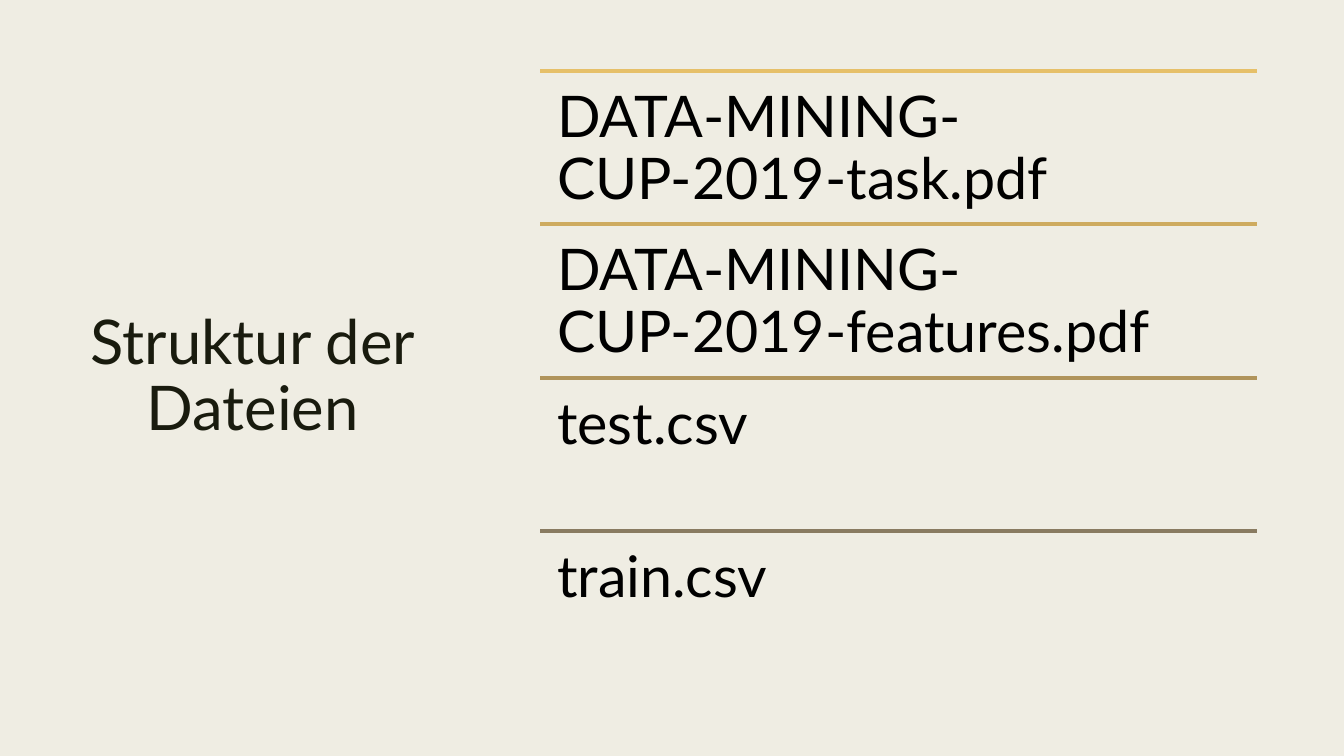
import pptx
import pptx.util
import pptx.dml.color
import pptx.enum.shapes
import pptx.enum.text
import pptx.oxml.ns
import lxml.etree

Cm, Pt = pptx.util.Cm, pptx.util.Pt
Align, Anchor = pptx.enum.text.PP_ALIGN, pptx.enum.text.MSO_ANCHOR


def paint(color, code):
    color.rgb = pptx.dml.color.RGBColor.from_string(code)


def write(frame, text, size=41, color="000000", font="Lato", align=Align.LEFT,
          anchor=Anchor.TOP, space=0.9, inset=0.25):
    frame.word_wrap = True
    frame.auto_size = pptx.enum.text.MSO_AUTO_SIZE.NONE
    frame.vertical_anchor = anchor
    frame.margin_left = frame.margin_right = Cm(inset)
    frame.margin_top = frame.margin_bottom = Cm(inset)
    para = frame.paragraphs[0]
    para.alignment = align
    para.line_spacing = space
    run = para.add_run()
    run.text = text
    run.font.name = font
    run.font.size = Pt(size)
    paint(run.font.color, color)


class Deck:
    """Hold the slide and its style, and draw each kind of element."""

    back = "EFEDE3"
    ink = "191B0E"

    def __init__(self):
        self.prs = pptx.Presentation()
        self.prs.slide_width, self.prs.slide_height = Cm(33.87), Cm(19.05)
        self.slide = self.prs.slides.add_slide(self.prs.slide_layouts[5])
        fill = self.slide.background.fill
        fill.solid()
        paint(fill.fore_color, self.back)

    def title(self, text, left, top, width, height):
        box = self.slide.shapes.title
        box.left, box.top = Cm(left), Cm(top)
        box.width, box.height = Cm(width), Cm(height)
        write(box.text_frame, text, size=44, color=self.ink, align=Align.CENTER,
              anchor=Anchor.MIDDLE, space=0.89)

    def rule(self, left, top, width, color):
        line = self.slide.shapes.add_connector(
            pptx.enum.shapes.MSO_CONNECTOR.STRAIGHT,
            Cm(left), Cm(top), Cm(left + width), Cm(top))
        line.line.width = Pt(2.75)
        paint(line.line.color, color)
        props = line._element.spPr
        lxml.etree.SubElement(props, pptx.oxml.ns.qn("a:effectLst"))

    def text(self, text, left, top, width, height):
        box = self.slide.shapes.add_textbox(
            Cm(left), Cm(top), Cm(width), Cm(height))
        write(box.text_frame, text, inset=0.43)


def main():
    deck = Deck()
    left, top, width, step = 13.61, 1.78, 18.08, 3.87
    files = [
        ("DATA-MINING-CUP-2019-task.pdf", "E6C069"),
        ("DATA-MINING-CUP-2019-features.pdf", "CEAB5F"),
        ("test.csv", "B0945B"),
        ("train.csv", "897B61"),
    ]
    deck.title("Struktur der Dateien", 1.78, top, 9.17, 15.49)
    for row, (name, color) in enumerate(files):
        deck.rule(left, top + row * step, width, color)
        deck.text(name, left, top + row * step, width, step)
    deck.prs.save("out.pptx")


if __name__ == "__main__":
    main()
